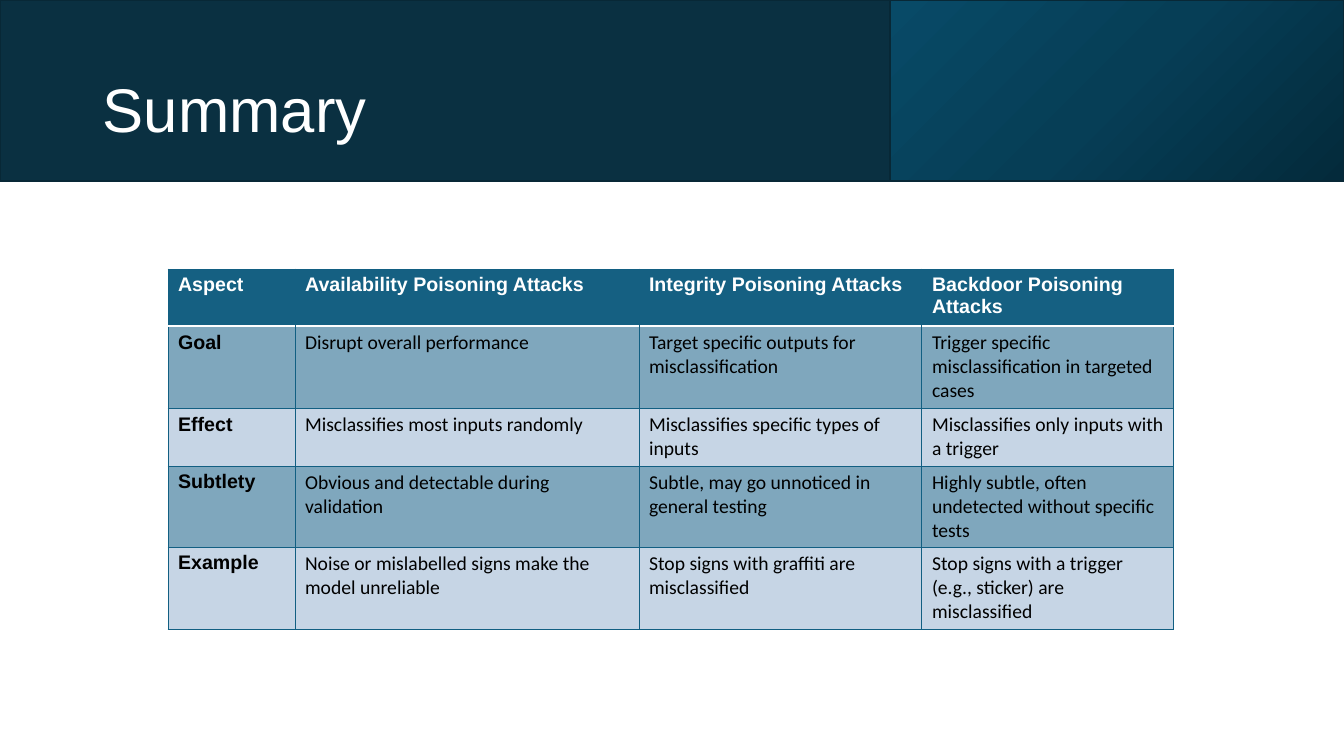
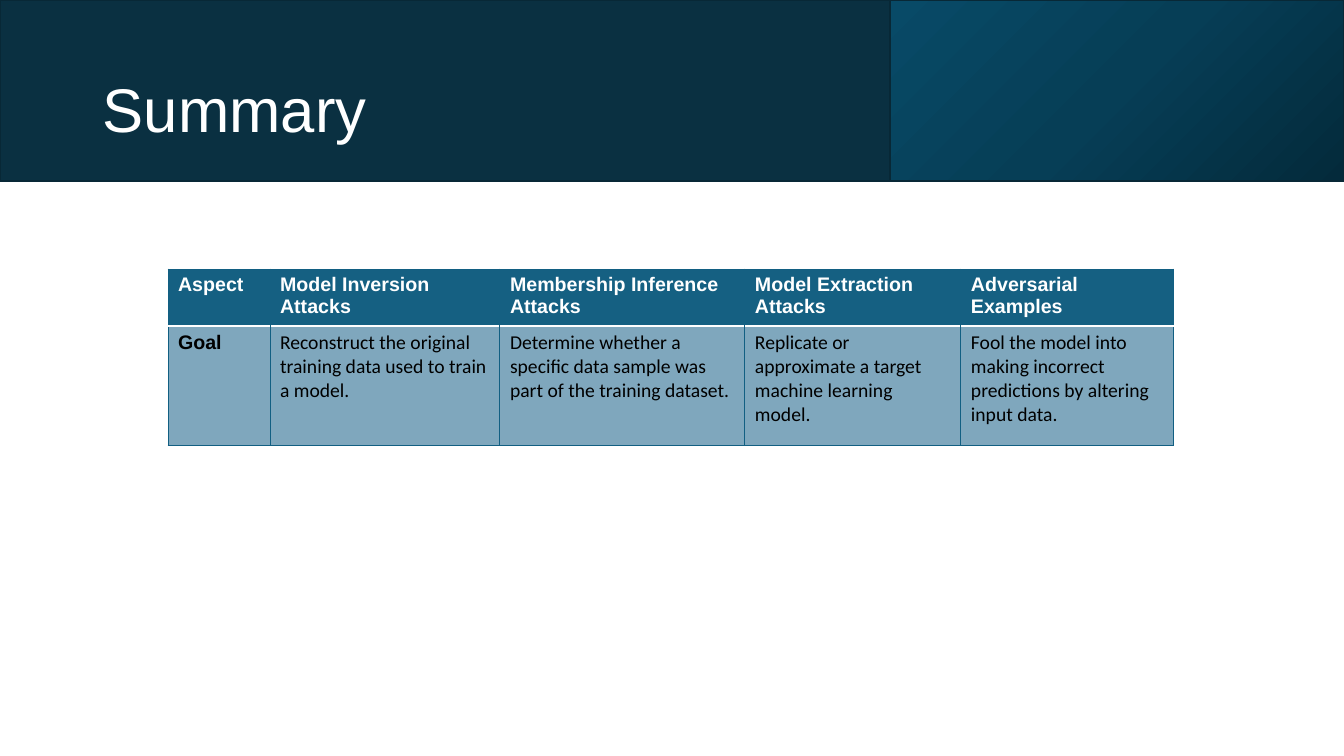
from copy import deepcopy
from dataclasses import dataclass

from lxml import etree
from pptx import Presentation
from pptx import util as u
from pptx.dml.color import RGBColor
from pptx.enum import shapes, text
from pptx.oxml.ns import qn

WIDE, HIGH = 1344, 756
SCALE = u.Inches(40 / 3) / WIDE

NAVY, EDGE = "0A3041", "082836"
GLOW = ("042A3B", "063E56", "084A67")
HEAD, RULE = "156082", "125F82"
DARK, PALE = "7FA7BD", "C6D5E5"
WHITE, BLACK = "FFFFFF", "000000"
SANS, BODY = "Arial", "Calibri"


@dataclass(frozen=True)
class Box:
    left: int
    top: int
    width: int
    height: int

    def emu(self) -> tuple[u.Emu, ...]:
        return tuple(map(px, (self.left, self.top, self.width, self.height)))


@dataclass(frozen=True)
class Grid:
    """A table: column widths, row heights, and rows of text, header first."""
    cols: tuple[int, ...]
    highs: tuple[int, ...]
    rows: tuple[tuple[str, ...], ...]


BAND = Box(0, 0, WIDE, 181)
PANEL = Box(890, 0, WIDE - 890, 181)
TITLE = Box(93, 40, 1159, 146)
LEFT, TOP = 168, 269

POISON = Grid(
    (127, 344, 283, 252),
    (57, 82, 58, 81, 82),
    (
        ("Aspect", "Availability Poisoning Attacks",
         "Integrity Poisoning Attacks", "Backdoor Poisoning Attacks"),
        ("Goal", "Disrupt overall performance",
         "Target specific outputs for misclassification",
         "Trigger specific misclassification in targeted cases"),
        ("Effect", "Misclassifies most inputs randomly",
         "Misclassifies specific types of inputs",
         "Misclassifies only inputs with a trigger"),
        ("Subtlety", "Obvious and detectable during validation",
         "Subtle, may go unnoticed in general testing",
         "Highly subtle, often undetected without specific tests"),
        ("Example", "Noise or mislabelled signs make the model unreliable",
         "Stop signs with graffiti are misclassified",
         "Stop signs with a trigger (e.g., sticker) are misclassified"),
    ),
)
PRIVACY = Grid(
    (102, 230, 245, 216, 213),
    (57, 119),
    (
        ("Aspect", "Model Inversion Attacks", "Membership Inference Attacks",
         "Model Extraction Attacks", "Adversarial Examples"),
        ("Goal", "Reconstruct the original training data used to train a model.",
         "Determine whether a specific data sample was part of the training dataset.",
         "Replicate or approximate a target machine learning model.",
         "Fool the model into making incorrect predictions by altering input data."),
    ),
)


def px(n: int) -> u.Emu:
    return u.Emu(round(n * SCALE))


def color(code: str) -> RGBColor:
    return RGBColor.from_string(code)


def write(frame, words: str, *, size: int, font: str = SANS,
          ink: str = BLACK, bold: bool = False, lead: float = 1.0) -> None:
    frame.word_wrap = True
    para = frame.paragraphs[0]
    para.line_spacing = lead
    run = para.add_run()
    run.text = words
    run.font.size = u.Pt(size)
    run.font.name = font
    run.font.bold = bold
    run.font.color.rgb = color(ink)


def block(slide, box: Box, *fills: str) -> None:
    """Draw a rectangle, plain for one colour or a diagonal blend for more."""
    shape = slide.shapes.add_shape(shapes.MSO_SHAPE.RECTANGLE, *box.emu())
    shape.shadow.inherit = False
    shape.line.color.rgb = color(EDGE)
    shape.line.width = u.Pt(1.5)
    if len(fills) == 1:
        shape.fill.solid()
        shape.fill.fore_color.rgb = color(fills[0])
        return
    shape.fill.gradient()
    shape.fill.gradient_angle = 135
    stops = shape._element.spPr.find(f".//{qn('a:gsLst')}")
    while len(stops) < len(fills):
        stops.insert(1, deepcopy(stops[0]))
    for i, (stop, fill) in enumerate(zip(shape.fill.gradient_stops, fills)):
        stop.position = i / (len(fills) - 1)
        stop.color.rgb = color(fill)


def border(cell, side: str, ink: str, width: float) -> None:
    line = etree.SubElement(cell._tc.get_or_add_tcPr(), qn(f"a:ln{side}"),
                            w=str(u.Pt(width)))
    fill = etree.SubElement(line, qn("a:solidFill"))
    etree.SubElement(fill, qn("a:srgbClr"), val=ink)


def edges(cell, row: int, first: bool, last: bool) -> None:
    inner = RULE if row else HEAD
    border(cell, "L", RULE if first else inner, 0.75)
    border(cell, "R", RULE if last else inner, 0.75)
    border(cell, "T", *((WHITE, 2) if row == 1 else (RULE, 0.75)))
    border(cell, "B", *((RULE, 0.75) if row else (WHITE, 2)))


def table(slide, grid: Grid) -> None:
    box = Box(LEFT, TOP, sum(grid.cols), sum(grid.highs))
    tab = slide.shapes.add_table(
        len(grid.rows), len(grid.cols), *box.emu()).table
    tab.first_row = tab.horz_banding = False
    for col, width in zip(tab.columns, grid.cols):
        col.width = px(width)
    for r, (high, words) in enumerate(zip(grid.highs, grid.rows)):
        tab.rows[r].height = px(high)
        back = HEAD if r == 0 else DARK if r % 2 else PALE
        for c, word in enumerate(words):
            cell = tab.cell(r, c)
            edges(cell, r, c == 0, c == len(words) - 1)
            cell.fill.solid()
            cell.fill.fore_color.rgb = color(back)
            label = r == 0 or c == 0
            write(cell.text_frame, word, size=14, bold=label,
                  font=SANS if label else BODY, ink=BLACK if r else WHITE)


def page(deck, title: str, grid: Grid) -> None:
    slide = deck.slides.add_slide(deck.slide_layouts[6])
    block(slide, BAND, NAVY)
    block(slide, PANEL, *GLOW)
    frame = slide.shapes.add_textbox(*TITLE.emu()).text_frame
    frame.vertical_anchor = text.MSO_ANCHOR.MIDDLE
    write(frame, title, size=44, ink=WHITE, lead=0.9)
    table(slide, grid)


def main() -> None:
    deck = Presentation()
    deck.slide_width, deck.slide_height = px(WIDE), px(HIGH)
    for grid in (POISON, PRIVACY):
        page(deck, "Summary", grid)
    deck.save("out.pptx")


if __name__ == "__main__":
    main()
